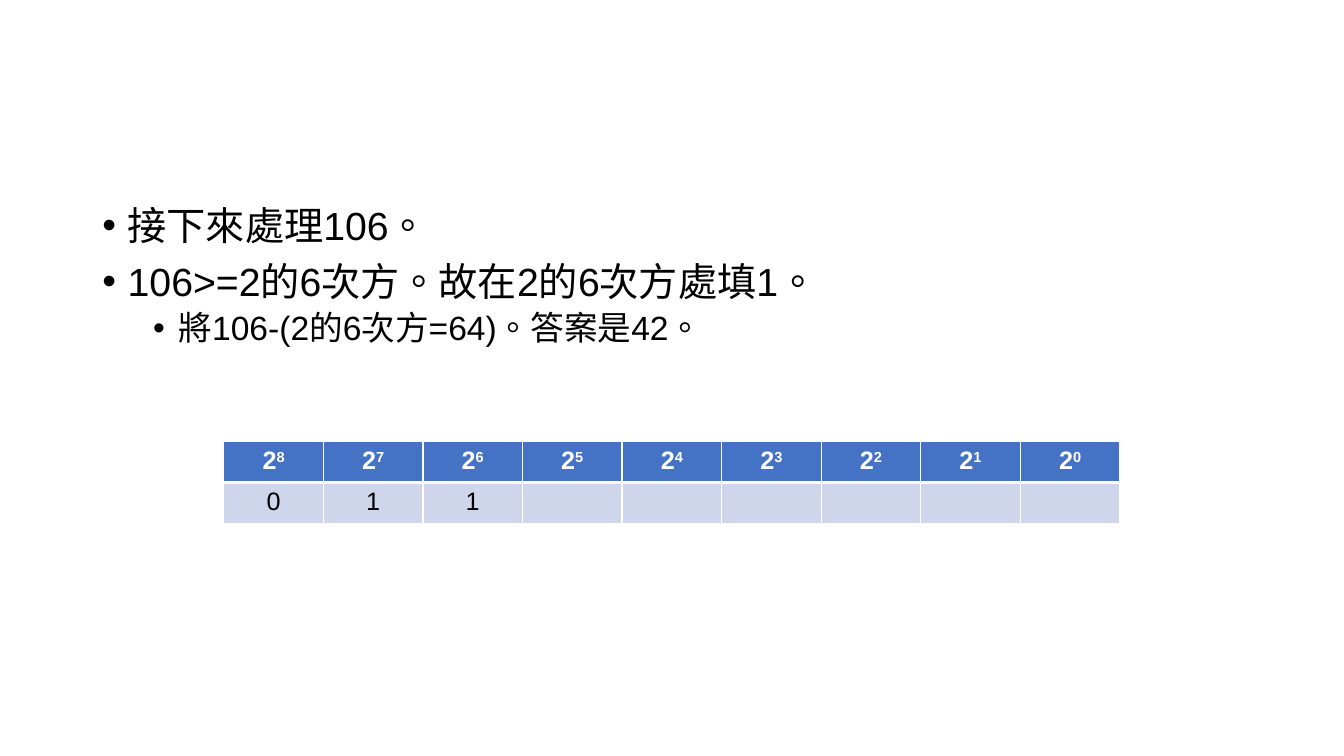
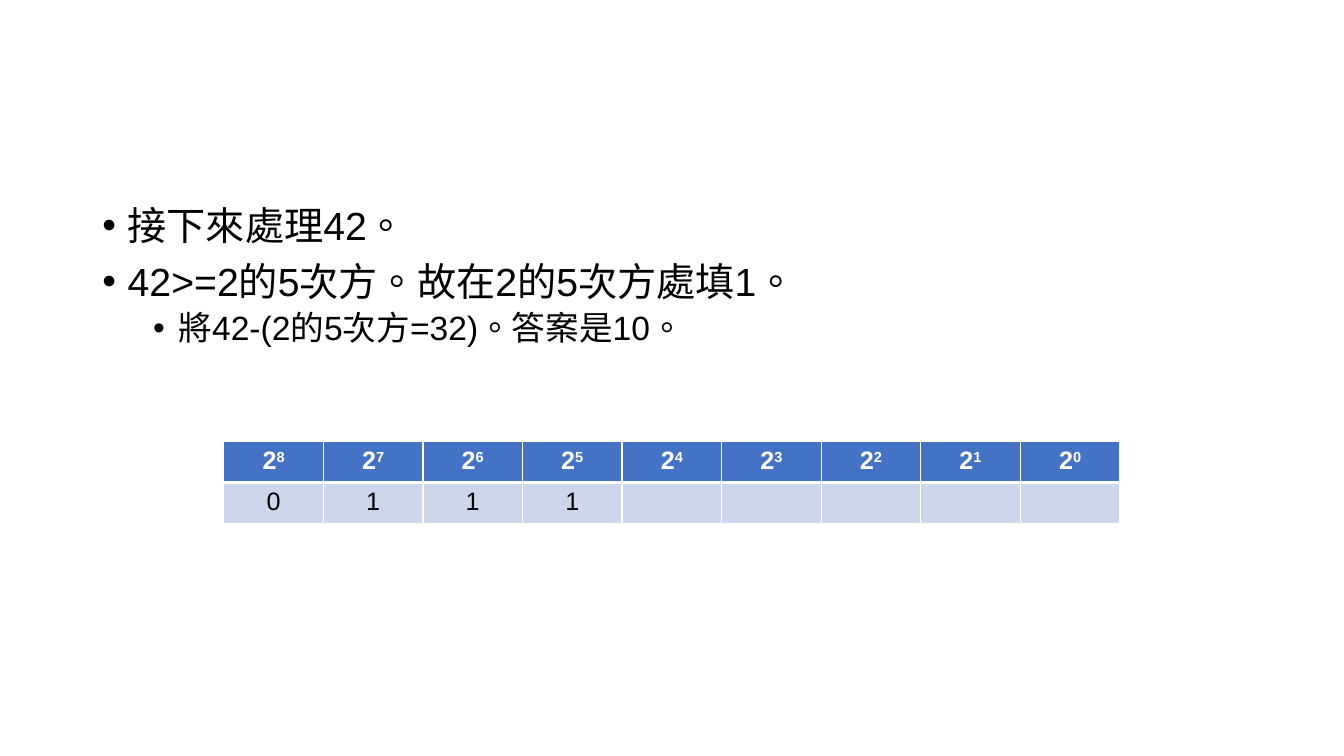
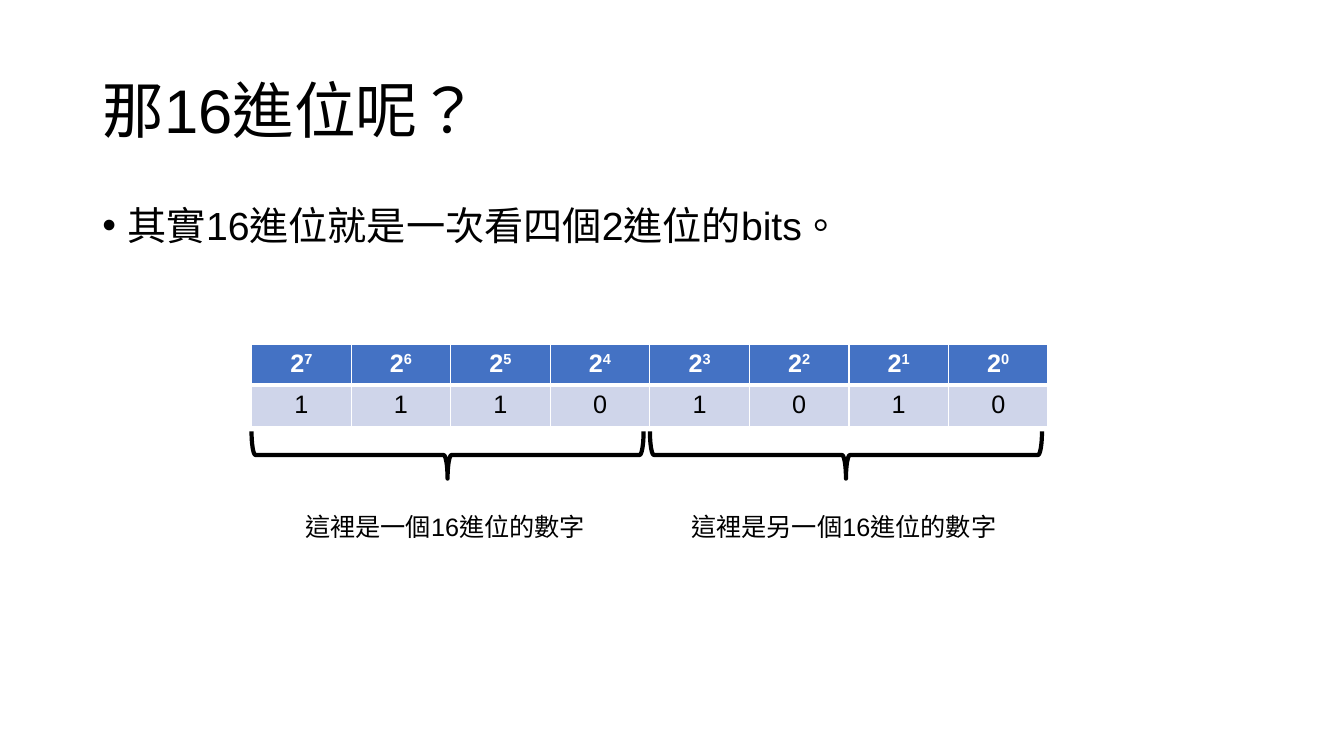
from lxml.etree import SubElement
from pptx import Presentation
from pptx.dml.color import RGBColor
from pptx.enum.lang import MSO_LANGUAGE_ID
from pptx.enum.shapes import MSO_SHAPE
from pptx.enum.text import MSO_ANCHOR, PP_ALIGN
from pptx.oxml import parse_xml
from pptx.oxml.ns import nsdecls, qn
from pptx.util import Cm, Pt

FONT = "Arial"
BLACK = "000000"
WHITE = "FFFFFF"
HEADER_BLUE = "4472C4"
ROW_BLUE = "CFD5EA"
MARGIN_LEFT = 2.33
CONTENT_WIDTH = 29.21
BIT_WIDTH = 2.51
BIT_HEIGHT = 1.03
NIBBLE = 4
INDENT = Cm(0.64)


def color(code):
    return RGBColor.from_string(code)


def write(paragraph, text, size=18, fill=BLACK, bold=False, raised=False, align=None):
    run = paragraph.add_run()
    run.text = text
    font = run.font
    font.name = FONT
    font.size = Pt(size)
    font.bold = bold
    font.color.rgb = color(fill)
    font.language_id = MSO_LANGUAGE_ID.TRADITIONAL_CHINESE
    if raised:
        run._r.get_or_add_rPr().set("baseline", "30000")
    if align is not None:
        paragraph.alignment = align


def add_frame(slide, left, top, width, height, anchor=MSO_ANCHOR.TOP):
    frame = slide.shapes.add_textbox(Cm(left), Cm(top), Cm(width), Cm(height)).text_frame
    frame.word_wrap = True
    frame.vertical_anchor = anchor
    return frame


def add_title(slide, text):
    frame = add_frame(slide, MARGIN_LEFT, 1.01, CONTENT_WIDTH, 3.68, MSO_ANCHOR.MIDDLE)
    frame.paragraphs[0].line_spacing = 0.9
    write(frame.paragraphs[0], text, size=44)


def add_bullets(slide, items):
    frame = add_frame(slide, MARGIN_LEFT, 5.07, CONTENT_WIDTH, 12.09)
    for index, (level, text) in enumerate(items):
        paragraph = frame.add_paragraph() if index else frame.paragraphs[0]
        paragraph.level = level
        paragraph.line_spacing = 0.9
        paragraph.space_before = Pt(5 if level else 10)
        properties = paragraph._p.get_or_add_pPr()
        properties.set("marL", str(INDENT * (1 + 2 * level)))
        properties.set("indent", str(-INDENT))
        SubElement(properties, qn("a:buFont"), typeface=FONT)
        SubElement(properties, qn("a:buChar"), char="•")
        write(paragraph, text, size=24 if level else 28)


def set_borders(cell, thick_side):
    properties = cell._tc.get_or_add_tcPr()
    for position, side in enumerate(("lnL", "lnR", "lnT", "lnB")):
        width = Pt(3 if side == thick_side else 1)
        properties.insert(position, parse_xml(
            f'<a:{side} {nsdecls("a")} w="{width}"><a:solidFill>'
            f'<a:srgbClr val="{WHITE}"/></a:solidFill></a:{side}>'))


def style_cell(cell, fill, thick_side):
    cell.fill.solid()
    cell.fill.fore_color.rgb = color(fill)
    set_borders(cell, thick_side)


def add_bit_table(slide, left, top, count, bits):
    table = slide.shapes.add_table(
        2, count, Cm(left), Cm(top), Cm(BIT_WIDTH * count), Cm(BIT_HEIGHT * 2)).table
    for row in table.rows:
        row.height = Cm(BIT_HEIGHT)
    for index, bit in enumerate(bits.ljust(count)):
        table.columns[index].width = Cm(BIT_WIDTH)
        power, value = table.cell(0, index), table.cell(1, index)
        style_cell(power, HEADER_BLUE, "lnB")
        style_cell(value, ROW_BLUE, "lnT")
        heading = power.text_frame.paragraphs[0]
        write(heading, "2", fill=WHITE, bold=True, align=PP_ALIGN.CENTER)
        write(heading, str(count - 1 - index), fill=WHITE, bold=True, raised=True)
        if bit.strip():
            write(value.text_frame.paragraphs[0], bit, align=PP_ALIGN.CENTER)


def add_brace(slide, left, top, span, depth):
    brace = slide.shapes.add_shape(
        MSO_SHAPE.LEFT_BRACE, Cm(left + (span - depth) / 2), Cm(top + (depth - span) / 2),
        Cm(depth), Cm(span))
    brace.rotation = 270
    brace.shadow.inherit = False
    brace.fill.background()
    brace.line.color.rgb = color(BLACK)
    brace.line.width = Pt(3)


def add_step_slide(slide, value, exponent, bits):
    power = 2 ** exponent
    add_bit_table(slide, 5.64, 11.13, 9, bits)
    add_bullets(slide, [
        (0, f"接下來處理{value}。"),
        (0, f"{value}>=2的{exponent}次方。故在2的{exponent}次方處填1。"),
        (1, f"將{value}-(2的{exponent}次方={power})。答案是{value - power}。"),
    ])


def add_hex_slide(slide):
    table_left, table_top = 6.34, 8.68
    add_title(slide, "那16進位呢？")
    add_bullets(slide, [(0, "其實16進位就是一次看四個2進位的bits。")])
    add_bit_table(slide, table_left, table_top, 2 * NIBBLE, "11101010")
    labels = [(7.44, 7.65, "這裡是一個16進位的數字"), (17.17, 8.28, "這裡是另一個16進位的數字")]
    for index, (left, width, text) in enumerate(labels):
        add_brace(slide, table_left + index * NIBBLE * BIT_WIDTH,
                  table_top + 2 * BIT_HEIGHT + 0.13, 9.88, 1.19)
        write(add_frame(slide, left, 12.75, width, 1.02).paragraphs[0], text)


def main():
    deck = Presentation()
    deck.slide_width, deck.slide_height = Cm(33.87), Cm(19.05)
    blank = deck.slide_layouts[6]
    for value, exponent, bits in ((106, 6, "011"), (42, 5, "0111")):
        add_step_slide(deck.slides.add_slide(blank), value, exponent, bits)
    add_hex_slide(deck.slides.add_slide(blank))
    deck.save("out.pptx")


if __name__ == "__main__":
    main()
